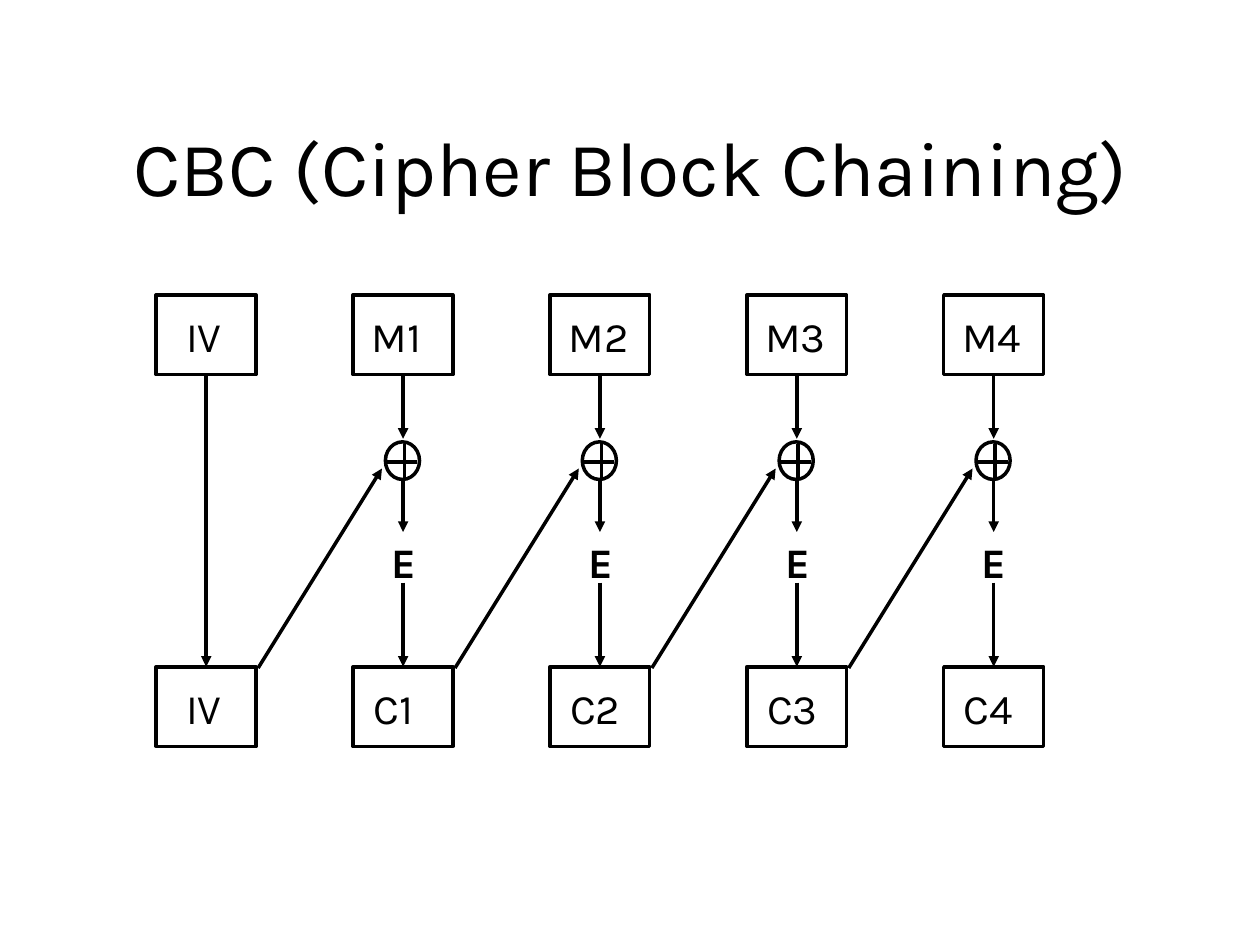
"""Build a slide showing the cipher block chaining diagram."""
import pptx
import pptx.dml.color
import pptx.enum.shapes
import pptx.enum.text
import pptx.oxml.ns
import pptx.util
import lxml.etree

Pt = pptx.util.Pt
SHAPES = pptx.enum.shapes.MSO_SHAPE
COLORS = {
    name: pptx.dml.color.RGBColor.from_string(value)
    for name, value in {"ink": "000000", "paper": "FFFFFF"}.items()
}
PITCH, FIRST_LEFT = 112.5, 89.25
BOX_WIDTH, BOX_HEIGHT = 57, 45.5
TOP_ROW, BOTTOM_ROW = 168.5, 381
MIDDLE = 28.6


def add_text(text, left, top, width, height, font_format, frame_format):
    text_box = slide.shapes.add_textbox(Pt(left), Pt(top), Pt(width), Pt(height))
    frame = text_box.text_frame
    for name, value in frame_format.items():
        setattr(frame, name, value)
    paragraph = frame.paragraphs[0]
    paragraph.text = text
    paragraph.line_spacing = 1.01
    for name, value in {"name": "Karla", **font_format}.items():
        setattr(paragraph.font, name, value)
    paragraph.font.color.rgb = COLORS["ink"]
    return paragraph


def add_line(shapes, start_x, start_y, end_x, end_y, arrow=True):
    connector = shapes.add_connector(
        pptx.enum.shapes.MSO_CONNECTOR.STRAIGHT,
        Pt(start_x), Pt(start_y), Pt(end_x), Pt(end_y),
    )
    connector.line.width = Pt(2)
    connector.line.color.rgb = COLORS["ink"]
    if arrow:
        line_element = connector.line._get_or_add_ln()
        lxml.etree.SubElement(
            line_element, pptx.oxml.ns.qn("a:tailEnd"), type="triangle"
        )
    properties = connector._element.spPr
    lxml.etree.SubElement(properties, pptx.oxml.ns.qn("a:effectLst"))


presentation = pptx.Presentation()
presentation.slide_width, presentation.slide_height = Pt(720), Pt(540)
slide = presentation.slides.add_slide(presentation.slide_layouts[6])
slide.background.fill.solid()
slide.background.fill.fore_color.rgb = COLORS["paper"]

title_frame = {
    "word_wrap": True,
    "vertical_anchor": pptx.enum.text.MSO_ANCHOR.MIDDLE,
}
label_frame = {
    "word_wrap": False,
    "auto_size": pptx.enum.text.MSO_AUTO_SIZE.SHAPE_TO_FIT_TEXT,
}
label_font = {"size": Pt(24)}
title = add_text(
    "CBC (Cipher Block Chaining)", 58.5, 37.5, 604, 113.5,
    {"size": Pt(44)}, title_frame,
)
title.alignment = pptx.enum.text.PP_ALIGN.CENTER

label_places = {"I": (10, 38), "M": (3.5, 52), "C": (4.5, 45)}
rows = {
    TOP_ROW: ["IV", "M1", "M2", "M3", "M4"],
    BOTTOM_ROW: ["IV", "C1", "C2", "C3", "C4"],
}
for top, labels in rows.items():
    for column, label in enumerate(labels):
        left = FIRST_LEFT + column * PITCH
        box = slide.shapes.add_shape(
            SHAPES.ROUNDED_RECTANGLE, Pt(left), Pt(top), Pt(BOX_WIDTH), Pt(BOX_HEIGHT)
        )
        box.adjustments[0] = 0
        box.shadow.inherit = False
        box.fill.solid()
        box.fill.fore_color.rgb = COLORS["paper"]
        box.line.width = Pt(2)
        box.line.color.rgb = COLORS["ink"]
        offset, width = label_places[label[0]]
        add_text(label, left + offset, top + 5, width, 36.5, label_font, label_frame)

for column in range(1, 5):
    left = FIRST_LEFT + column * PITCH
    center = left + MIDDLE
    xor_shapes = slide.shapes.add_group_shape().shapes
    add_line(xor_shapes, left + 19.25, 264, left + 36.5, 264, arrow=False)
    add_line(xor_shapes, left + 29.4, 273, left + 29.4, 253.5, arrow=False)
    circle = xor_shapes.add_shape(
        SHAPES.OVAL, Pt(left + 18.5), Pt(252.5), Pt(19.5), Pt(21.5)
    )
    circle.shadow.inherit = False
    circle.fill.background()
    circle.line.width = Pt(2)
    circle.line.color.rgb = COLORS["ink"]
    add_text(
        "E", left + 14.75, 302.5, 29, 36.5, {**label_font, "bold": True}, label_frame
    )
    for start_y, end_y in [(215, 250.75), (274, 304), (333, BOTTOM_ROW)]:
        add_line(slide.shapes, center, start_y, center, end_y)
    add_line(slide.shapes, left - PITCH + 58.25, 381.75, left + 16.5, 267.75)

initial_center = FIRST_LEFT + MIDDLE
add_line(slide.shapes, initial_center, 215, initial_center, BOTTOM_ROW)

presentation.save("out.pptx")
